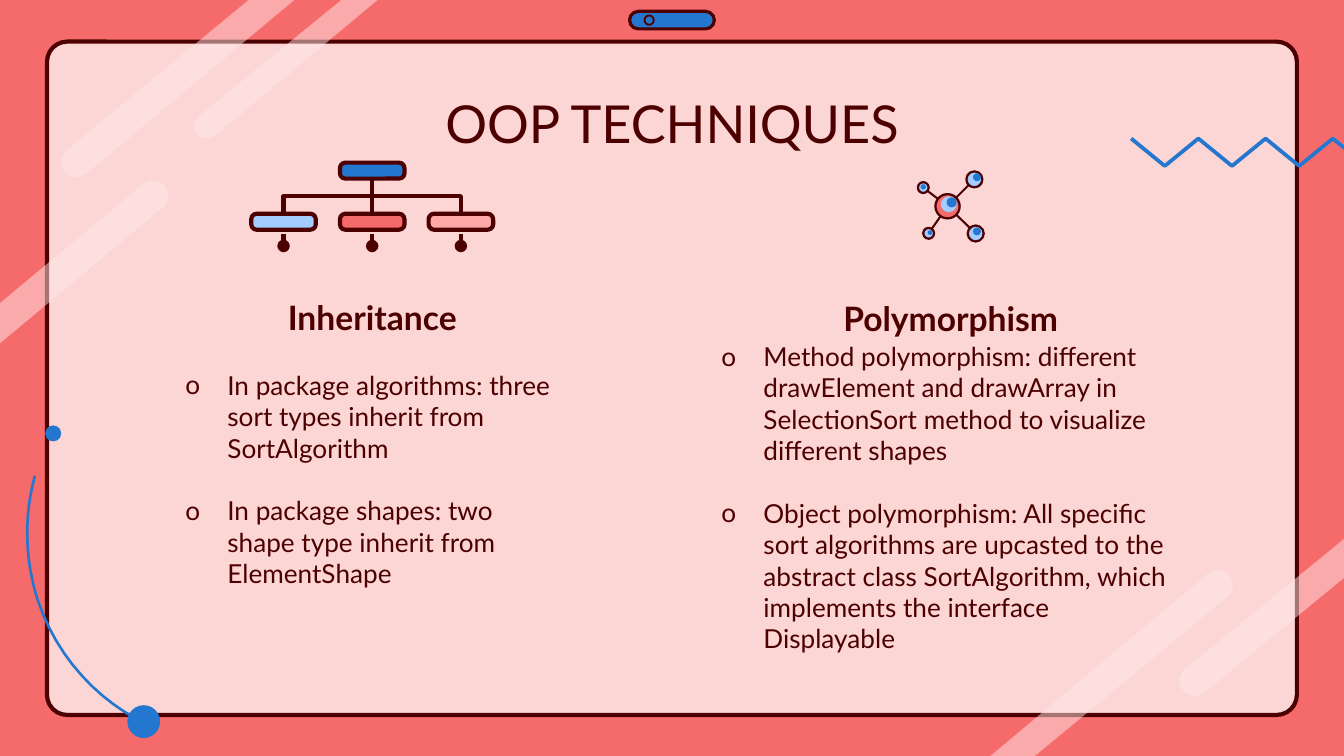
from math import cos, radians, sin
from typing import NamedTuple, Optional

from lxml import etree
from pptx import Presentation
from pptx.dml.color import RGBColor
from pptx.enum import shapes as s, text as t
from pptx.oxml.ns import qn
from pptx.util import Pt

HUES = {
    "coral": "F56B6B", "blush": "FCD5D5", "dark": "4D0000", "pale": "FFE9E9",
    "blue": "2477CF", "sky": "A4CDFF", "pink": "FFA8A8",
}
FONT = "Lato"
Spot = tuple[float, float]


class Stripe(NamedTuple):
    """Round-capped band running from its cap to two points on the slide edge."""
    cap: Spot
    r: float
    turn: int  # angle where the cap's half circle starts
    first: Spot
    last: Spot


class Disc(NamedTuple):
    x: float
    y: float
    r: float
    fill: Optional[str]
    line: float = 0


class Copy(NamedTuple):
    head: str
    spot: tuple[float, float, float, float]
    points: tuple[str, ...]
    body: tuple[float, float, float, float]


STRIPES = [
    Stripe((41, 86.8), 8.2, 50, (157.7, 0), (133.2, 0)),
    Stripe((110.9, 67.4), 6.8, 50, (202.3, 0), (182.9, 0)),
    Stripe((652.3, 313.6), 8.2, 230, (530.6, 405), (554.4, 405)),
    Stripe((640.1, 364.7), 8.2, 50, (720, 309.6), (720, 288.7)),
    Stripe((82.1, 104.8), 8.2, 230, (0, 162.4), (0, 184)),
]
CORE = Disc(507.6, 110.5, 6.5, "coral", 1.2)
ATOMS = [
    Disc(494.6, 100.5, 2.9, "sky", 1.2), Disc(522, 96.1, 4.3, "sky", 1.2),
    Disc(522.7, 125.1, 4.3, "sky", 1.2), Disc(497.5, 125, 2.9, "sky", 1.2),
]
GLINTS = [
    Disc(508.3, 109.4, 4.3, "sky"), Disc(509.8, 108.4, 2.7, "blue"),
    Disc(494.6, 100.1, 1.4, "blue"), Disc(523.4, 95, 2.1, "blue"),
    Disc(523.4, 124, 2.1, "blue"), Disc(498.2, 124.6, 1.2, "blue"),
]
DOTS = [Disc(77, 386.6, 8.8, "blue"), Disc(28.5, 232.2, 4.3, "blue")]
SWOOP = [
    [(18.7, 254.9), (13, 275.8), (13, 298.8), (20.2, 321.5)],
    [(20.2, 321.5), (30.6, 352.4), (52.9, 376.2), (80.3, 388.8)],
]
COPY = [
    Copy("Inheritance", (139.7, 157.7, 119.5, 24.5), (
        "In package algorithms: three sort types inherit from SortAlgorithm",
        "In package shapes: two shape type inherit from ElementShape",
    ), (92.2, 235, 214.6, 43.2)),
    Copy("Polymorphism", (437, 158.4, 144.7, 24.5), (
        "Method polymorphism: different drawElement and drawArray in "
        "SelectionSort method to visualize different shapes",
        "Object polymorphism: All specific sort algorithms are upcasted to the "
        "abstract class SortAlgorithm, which implements the interface Displayable",
    ), (379.4, 244.8, 259.9, 43.2)),
]

deck = Presentation()
deck.slide_width, deck.slide_height = Pt(720), Pt(405)
slide = deck.slides.add_slide(deck.slide_layouts[6])
slide.background.fill.solid()
slide.background.fill.fore_color.rgb = RGBColor.from_string(HUES["coral"])


def paint(shape, fill: Optional[str], line: float = 0, hue: str = "dark") -> None:
    shape.shadow.inherit = False
    if fill:
        shape.fill.solid()
        shape.fill.fore_color.rgb = RGBColor.from_string(HUES[fill])
    else:
        shape.fill.background()
    if line:
        shape.line.width = Pt(line)
        shape.line.color.rgb = RGBColor.from_string(HUES[hue])
    else:
        shape.line.fill.background()


def panel(x: float, y: float, w: float, h: float, adj: float, fill: str, line: float) -> None:
    shape = slide.shapes.add_shape(s.MSO_SHAPE.ROUNDED_RECTANGLE, Pt(x), Pt(y), Pt(w), Pt(h))
    shape.adjustments[0] = adj
    paint(shape, fill, line)


def disc(d: Disc) -> None:
    shape = slide.shapes.add_shape(
        s.MSO_SHAPE.OVAL, Pt(d.x - d.r), Pt(d.y - d.r), Pt(2 * d.r), Pt(2 * d.r))
    paint(shape, d.fill, d.line)


def trace(spots: list[Spot], shut: bool = False):
    pts = [(Pt(x), Pt(y)) for x, y in spots]
    pen = slide.shapes.build_freeform(*pts[0], scale=1.0)
    pen.add_line_segments(pts[1:], close=shut)
    return pen.convert_to_shape()


def band(b: Stripe) -> None:
    arc = [radians(b.turn + 15 * i) for i in range(13)]
    cap = [(b.cap[0] + b.r * cos(a), b.cap[1] + b.r * sin(a)) for a in arc]
    shape = trace([b.first, *cap, b.last], shut=True)
    paint(shape, "pale")
    tint = shape.fill._xPr.find(".//" + qn("a:srgbClr"))
    etree.SubElement(tint, qn("a:alpha"), val="50000")


def bend(knots: list[Spot], steps: int = 12) -> list[Spot]:
    """Sample a cubic Bezier curve."""
    out = []
    for i in range(steps + 1):
        k = i / steps
        mix = ((1 - k) ** 3, 3 * k * (1 - k) ** 2, 3 * k * k * (1 - k), k ** 3)
        out.append(tuple(sum(m * p[n] for m, p in zip(mix, knots)) for n in (0, 1)))
    return out


def link(a: Spot, b: Spot, width: float = 2.25, elbow: bool = False,
         turn: int = 0, tail: str = "") -> None:
    kind = s.MSO_CONNECTOR.ELBOW if elbow else s.MSO_CONNECTOR.STRAIGHT
    wire = slide.shapes.add_connector(kind, *(Pt(v) for v in (*a, *b)))
    wire.line.width = Pt(width)
    wire.line.color.rgb = RGBColor.from_string(HUES["dark"])
    props = wire._element.spPr
    if turn:
        props.find(qn("a:xfrm")).set("rot", str(turn * 60000))
    if tail:
        etree.SubElement(props.find(qn("a:ln")), qn("a:tailEnd"), type=tail)
    etree.SubElement(props, qn("a:effectLst"))


def write(spot: tuple[float, float, float, float], *lines: str, size: float,
          bold: bool = False, bullet: bool = False, mid: bool = True) -> None:
    frame = slide.shapes.add_textbox(*(Pt(v) for v in spot)).text_frame
    frame.word_wrap = True
    frame.margin_left = frame.margin_right = frame.margin_top = frame.margin_bottom = Pt(7.2)
    frame.vertical_anchor = t.MSO_ANCHOR.MIDDLE if mid else t.MSO_ANCHOR.TOP
    for i, line in enumerate(lines):
        para = frame.paragraphs[0] if i == 0 else frame.add_paragraph()
        para.alignment = t.PP_ALIGN.LEFT if bullet else t.PP_ALIGN.CENTER
        if i:
            para.space_before = Pt(16.8)
        if bullet:
            props = para._p.get_or_add_pPr()
            props.set("marL", str(Pt(22.5)))
            props.set("indent", str(-Pt(22.5)))
            hue = etree.SubElement(props, qn("a:buClr"))
            etree.SubElement(hue, qn("a:srgbClr"), val=HUES["dark"])
            etree.SubElement(props, qn("a:buFont"), typeface=FONT)
            etree.SubElement(props, qn("a:buChar"), char="o")
        run = para.add_run()
        run.text = line
        run.font.name, run.font.size, run.font.bold = FONT, Pt(size), bold
        run.font.color.rgb = RGBColor.from_string(HUES["dark"])


def tree(x: float, y: float, gap: float = 47.5, w: float = 34.6, h: float = 8.6) -> None:
    """Draw a parent over three children, centred on x with its top at y."""
    low = y + 27.4
    mid, half = (y + h + low) / 2, (low - y - h) / 2
    panel(x - w / 2, y, w, h, 0.34, "blue", 2.25)
    for side, fill in zip((-1, 0, 1), ("sky", "coral", "pink")):
        kid = x + side * gap
        panel(kid - w / 2, low, w, h, 0.34, fill, 2.25)
        link((kid, low + 10.8), (kid, low + 17.3), tail="oval")
        if side:
            hub = x + side * gap / 2
            link((hub + side * half, mid - gap / 2), (hub - side * half, mid + gap / 2),
                 elbow=True, turn=90 if side > 0 else 270)
        else:
            link((x, y + h), (x, low))


panel(25.2, 22.3, 669.6, 360.7, 0.03, "blush", 2.25)
for stripe in STRIPES:
    band(stripe)
panel(337.3, 6.1, 45.4, 9.4, 0.5, "blue", 1.7)
disc(Disc(347.8, 10.8, 2.5, None, 1))
for dot in DOTS:
    disc(dot)
paint(trace(bend(SWOOP[0]) + bend(SWOOP[1])[1:]), None, 1.4, "blue")
paint(trace([(606 + 18 * i, 88.9 if i % 2 else 74.2) for i in range(8)]), None, 2, "blue")

write((56.9, 41.8, 606.2, 45.4), "OOP TECHNIQUES", size=28, mid=False)
for part in COPY:
    write(part.spot, part.head, size=18, bold=True)
    write(part.body, *part.points, size=14, bullet=True)

tree(199.4, 87.1)
for atom in ATOMS:
    link((CORE.x, CORE.y), (atom.x, atom.y), width=1.1)
for ball in [CORE, *ATOMS, *GLINTS]:
    disc(ball)

deck.save("out.pptx")
